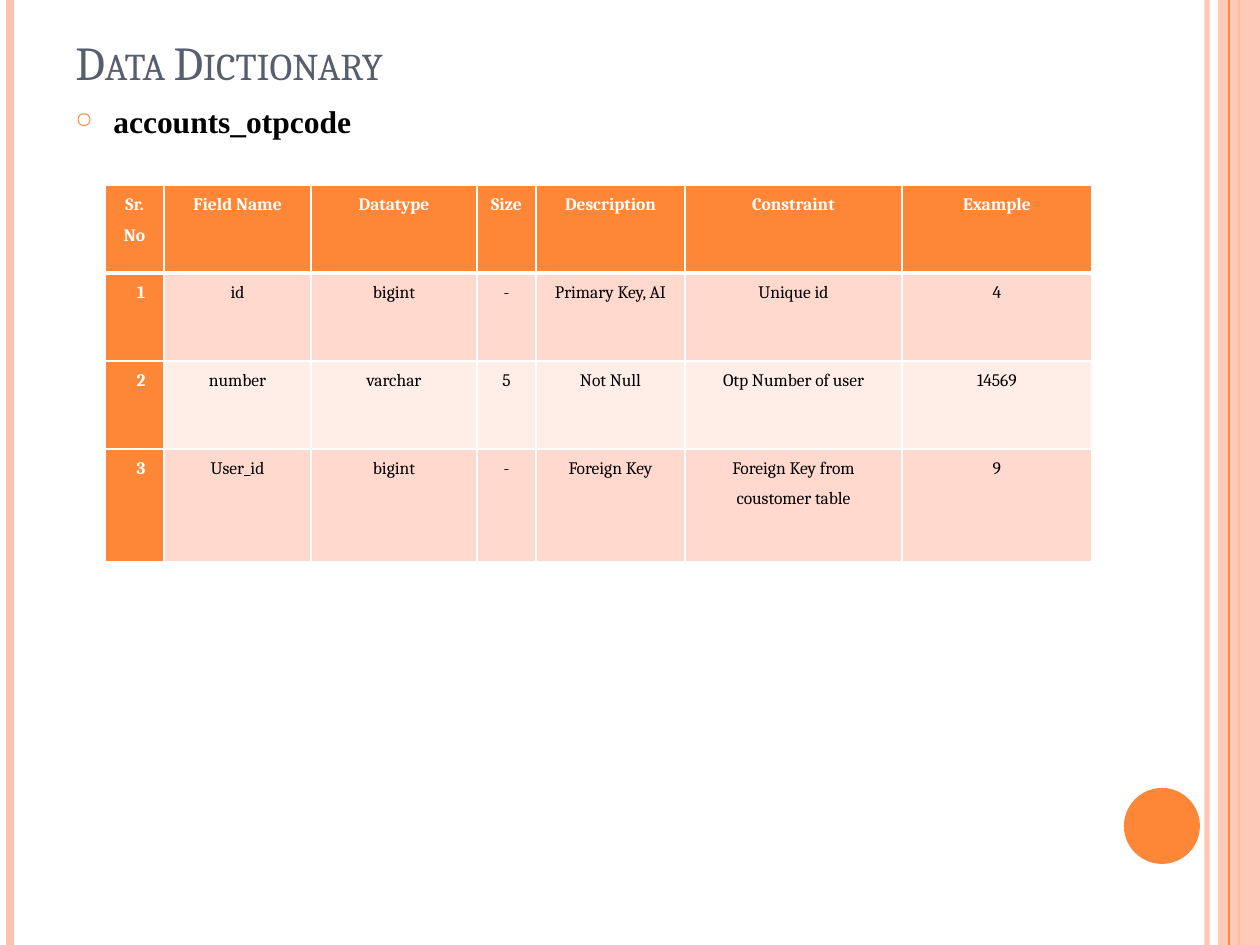
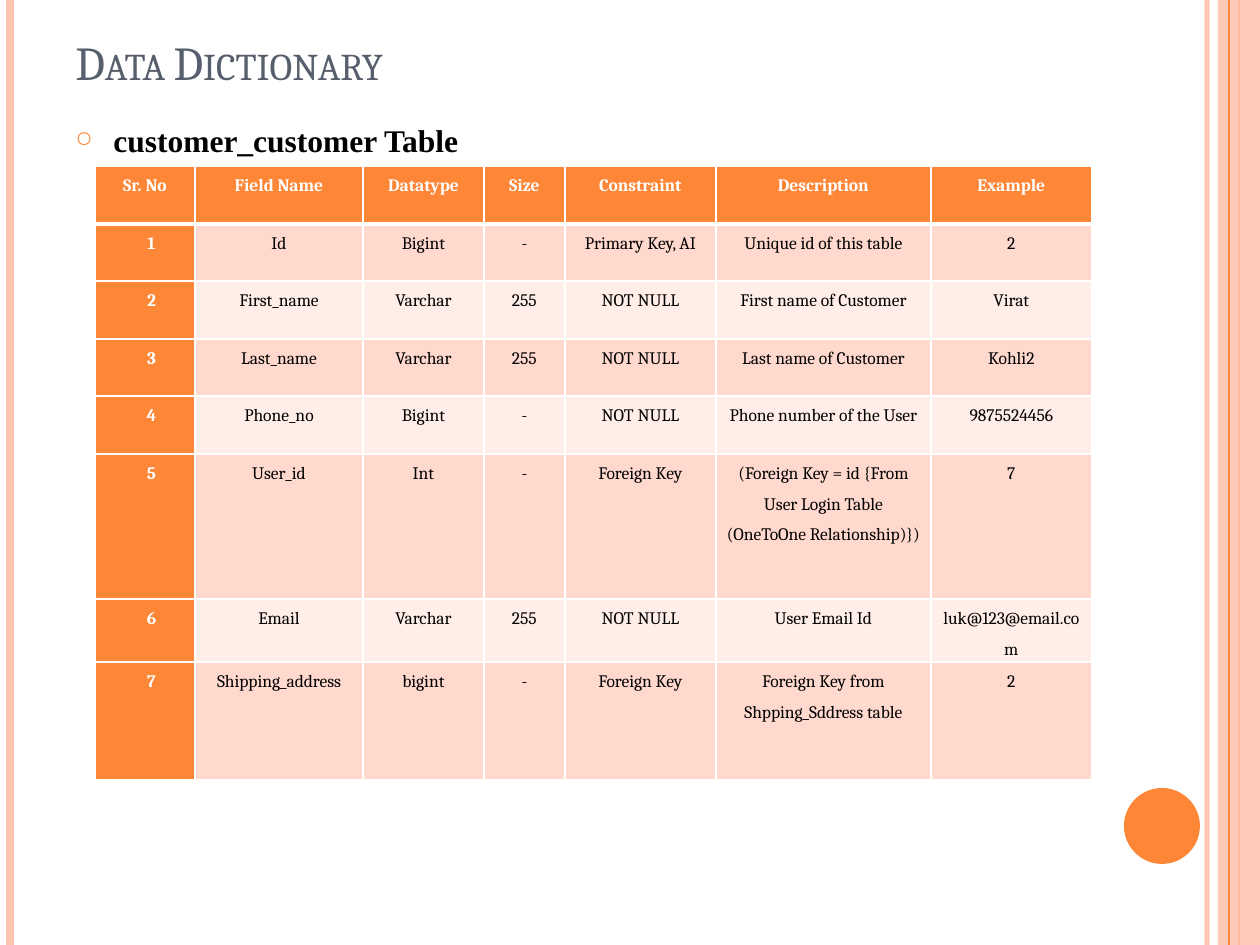
from dataclasses import dataclass
from typing import Optional

from lxml.etree import SubElement
from pptx import Presentation
from pptx.dml.color import RGBColor
from pptx.enum.shapes import MSO_CONNECTOR, MSO_SHAPE
from pptx.enum.text import MSO_ANCHOR as Anchor, PP_ALIGN as Align
from pptx.oxml.ns import qn
from pptx.util import Pt

# Scale and page
PX = 914400 / 126
PAGE_W, PAGE_H = 1260, 945

# Colours and fonts
ORANGE = RGBColor(0xFE, 0x86, 0x37)
PEACH = RGBColor(0xFE, 0xC3, 0xAE)
BAND_DARK = RGBColor(0xFF, 0xD9, 0xCE)
BAND_LIGHT = RGBColor(0xFF, 0xED, 0xE8)
SLATE = RGBColor(0x57, 0x5F, 0x6D)
BLACK = RGBColor(0, 0, 0)
WHITE = RGBColor(0xFF, 0xFF, 0xFF)
SERIF, HEADING_FONT = "Cambria", "Times New Roman"


@dataclass(frozen=True)
class Stripe:
    x: int
    color: RGBColor
    weight: float
    alpha: int = 100


@dataclass(frozen=True)
class Block:
    kind: MSO_SHAPE
    box: tuple[int, int, int, int]
    color: RGBColor
    alpha: int = 100


@dataclass(frozen=True)
class DictionaryPage:
    heading: str
    heading_spacing: float
    left: int
    top: int
    cols: list[int]
    rows: list[int]
    cells: list[list[str]]


# Page edge decoration, back to front
DECORATION = [
    Stripe(1207, PEACH, 3, 93),
    Stripe(10, PEACH, 4.5),
    Stripe(1239, ORANGE, 1.5),
    Block(MSO_SHAPE.RECTANGLE, (1218, 0, 42, PAGE_H), PEACH, 87),
    Stripe(1229, ORANGE, 0.75),
    Block(MSO_SHAPE.OVAL, (1124, 788, 76, 76), ORANGE),
]

PAGES = [
    DictionaryPage(
        "accounts_otpcode", 1.0, 105, 185,
        [59, 147, 166, 59, 149, 217, 190],
        [88, 88, 88, 113],
        [
            ["Sr. No", "Field Name", "Datatype", "Size", "Description", "Constraint", "Example"],
            ["1", "id", "bigint", "-", "Primary Key, AI", "Unique id", "4"],
            ["2", "number", "varchar", "5", "Not Null", "Otp Number of user", "14569"],
            ["3", "User_id", "bigint", "-", "Foreign Key", "Foreign Key from coustomer table", "9"],
        ],
    ),
    DictionaryPage(
        "customer_customer Table", 1.5, 95, 166,
        [100, 168, 121, 81, 151, 215, 161],
        [58, 57, 58, 57, 58, 145, 58, 118],
        [
            ["Sr. No", "Field Name", "Datatype", "Size", "Constraint", "Description", "Example"],
            ["1", "Id", "Bigint", "-", "Primary Key, AI", "Unique id of this table", "2"],
            ["2", "First_name", "Varchar", "255", "NOT NULL", "First name of Customer", "Virat"],
            ["3", "Last_name", "Varchar", "255", "NOT NULL", "Last name of Customer", "Kohli2"],
            ["4", "Phone_no", "Bigint", "-", "NOT NULL", "Phone number of the User", "9875524456"],
            ["5", "User_id", "Int", "-", "Foreign Key",
             "(Foreign Key = id {From User Login Table (OneToOne Relationship)})", "7"],
            ["6", "Email", "Varchar", "255", "NOT NULL", "User Email Id", "luk@123@email.com"],
            ["7", "Shipping_address", "bigint", "-", "Foreign Key",
             "Foreign Key from Shpping_Sddress table", "2"],
        ],
    ),
]


def px(n: float) -> int:
    return round(n * PX)


def set_alpha(element, percent: int) -> None:
    if percent < 100:
        color = next(element.iter(qn("a:srgbClr")))
        SubElement(color, qn("a:alpha"), val=str(percent * 1000))


# Text
def write(tf, text: str, *, size: float, font: str, color: RGBColor, bold: bool = False,
          small_caps: bool = False, align: Align = Align.LEFT, spacing: float = 1.0,
          after: float = 0, margin: int = 0, hanging: int = 0, bullet: Optional[str] = None) -> None:
    tf.word_wrap = True
    p = tf.paragraphs[0]
    p.alignment, p.line_spacing, p.space_after = align, spacing, Pt(after)
    pPr = p._p.get_or_add_pPr()
    pPr.set("marL", str(px(margin)))
    pPr.set("indent", str(-px(hanging)))
    if bullet:
        SubElement(SubElement(pPr, qn("a:buClr")), qn("a:srgbClr"), val=str(ORANGE))
        SubElement(pPr, qn("a:buSzPct"), val="70000")
        SubElement(pPr, qn("a:buChar"), char=bullet)
    r = p.add_run()
    r.text = text
    r.font.size, r.font.name, r.font.bold = Pt(size), font, bold
    r.font.color.rgb = color
    if small_caps:
        r._r.get_or_add_rPr().set("cap", "small")


def add_text(s, box: tuple[int, int, int, int], text: str, *,
             anchor: Anchor = Anchor.TOP, **fmt) -> None:
    tf = s.shapes.add_textbox(*map(px, box)).text_frame
    tf.vertical_anchor = anchor
    write(tf, text, **fmt)


# Decoration
def add_stripe(s, stripe: Stripe) -> None:
    x = px(stripe.x)
    cx = s.shapes.add_connector(MSO_CONNECTOR.STRAIGHT, x, 0, x, px(PAGE_H))
    cx.line.color.rgb, cx.line.width = stripe.color, Pt(stripe.weight)
    spPr = cx._element.spPr
    set_alpha(spPr, stripe.alpha)
    SubElement(spPr, qn("a:effectLst"))


def add_block(s, block: Block) -> None:
    sp = s.shapes.add_shape(block.kind, *map(px, block.box))
    sp.shadow.inherit = False
    sp.fill.solid()
    sp.fill.fore_color.rgb = block.color
    sp.line.fill.background()
    set_alpha(sp._element.spPr, block.alpha)


# Table
def set_borders(cell, top: float, bottom: float) -> None:
    tcPr = cell._tc.get_or_add_tcPr()
    for side, weight in (("L", 1), ("R", 1), ("T", top), ("B", bottom)):
        ln = SubElement(tcPr, qn(f"a:ln{side}"), w=str(Pt(weight)))
        SubElement(SubElement(ln, qn("a:solidFill")), qn("a:srgbClr"), val=str(WHITE))


def add_dictionary(s, page: DictionaryPage) -> None:
    frame = s.shapes.add_table(len(page.rows), len(page.cols), px(page.left), px(page.top),
                               px(sum(page.cols)), px(sum(page.rows)))
    table = frame.table
    for column, width in zip(table.columns, page.cols):
        column.width = px(width)
    for i, (row, height) in enumerate(zip(table.rows, page.rows)):
        row.height = px(height)
        for j, (cell, text) in enumerate(zip(row.cells, page.cells[i])):
            accent = i == 0 or j == 0
            band = BAND_DARK if i % 2 else BAND_LIGHT
            set_borders(cell, top=3 if i == 1 else 1, bottom=3 if i == 0 else 1)
            cell.fill.solid()
            cell.fill.fore_color.rgb = ORANGE if accent else band
            cell.margin_left = cell.margin_right = px(9)
            cell.margin_top = cell.margin_bottom = 0
            write(cell.text_frame, text, size=10, font=SERIF, bold=accent,
                  color=WHITE if accent else BLACK, align=Align.CENTER, spacing=1.5,
                  after=10, margin=13 if i and j == 0 else 0)


def add_page(prs, page: DictionaryPage) -> None:
    s = prs.slides.add_slide(prs.slide_layouts[6])
    for item in DECORATION:
        if isinstance(item, Stripe):
            add_stripe(s, item)
        else:
            add_block(s, item)
    add_text(s, (63, 38, 1029, 58), "Data Dictionary", anchor=Anchor.BOTTOM,
             size=27, font=SERIF, color=SLATE, small_caps=True)
    add_text(s, (63, 96, 1029, 796), page.heading, size=18, font=HEADING_FONT, color=BLACK,
             bold=True, spacing=page.heading_spacing, margin=38, hanging=38, bullet="○")
    add_dictionary(s, page)


def main() -> None:
    prs = Presentation()
    prs.slide_width, prs.slide_height = px(PAGE_W), px(PAGE_H)
    for page in PAGES:
        add_page(prs, page)
    prs.save("out.pptx")


if __name__ == "__main__":
    main()
